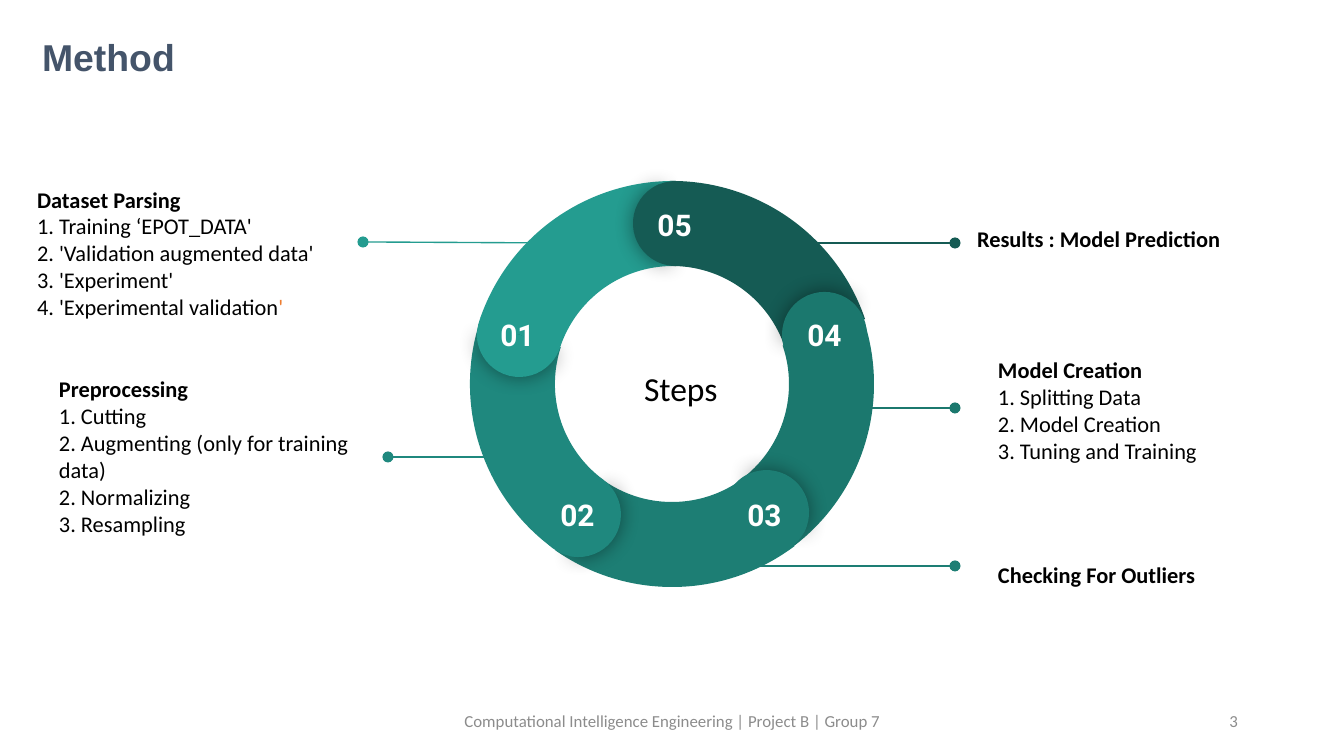
from lxml import etree
from pptx import Presentation
from pptx import util as u
from pptx.dml.color import RGBColor
from pptx.enum import shapes, text
from pptx.oxml.ns import qn

PX = 914400 / 134.4
BLACK, WHITE, GREY, SLATE, ORANGE = "000000", "FFFFFF", "8C8C8C", "44546A", "ED7D31"
STEP_COLOURS = {"01": "249C90", "02": "1F887E", "03": "1D7E74", "04": "1B786E", "05": "155B54"}

# Callouts: step, text box, line start and end, heading spacing, heading, items
CALLOUTS = [
    ("01", (24, 183, 339, 136), (558, 243, 363, 242), 1.15, "Dataset Parsing",
     ["1. Training ‘EPOT_DATA'", "2. 'Validation augmented data'", "3. 'Experiment'",
      [("4. 'Experimental validation", BLACK), ("'", ORANGE)]]),
    ("02", (46, 388, 336, 136), (526, 457, 388, 457), 1, "Preprocessing",
     ["1. Cutting", "2. Augmenting (only for training data)", "2. Normalizing",
      "3. Resampling"]),
    ("03", (985, 543, 312, 59), (684, 566, 955, 566), 1.15, "Checking For Outliers", []),
    ("05", (959, 194, 337, 85), (766, 243, 955, 243), 1.15, " Results : Model Prediction", []),
    ("04", (985, 340, 312, 136), (825, 408, 955, 408), 1.15, "Model Creation",
     ["1. Splitting Data", "2. Model Creation", "3. Tuning and Training"]),
]

# Ring parts from back to front: kind, step, left, top, rotation
RING = [
    ("arc", "02", 470, 180, 277), ("arc", "04", 466, 180, 132), ("arc", "05", 468, 181, 60),
    ("cap", "04", 782, 292, 67.1), ("arc", "03", 468, 179, 204), ("cap", "02", 536, 472, 211.1),
    ("arc", "01", 469, 181, 350), ("cap", "05", 633, 181, 357.1), ("cap", "03", 724, 470, 139.1),
    ("cap", "01", 477, 292, 284.1),
]
ARC_SIZE, CAP_SIZE = 408, 85
ARC_ADJUST = (125.5, 168.68, CAP_SIZE / ARC_SIZE)
CAP_ADJUST, BACK_ADJUST = (61.9, 149.96), (40.28, 171.84)
CAP_TURN = 179.3

NUMBERS = {"01": (480, 304), "02": (540, 484), "03": (727, 484),
           "04": (787, 304), "05": (637, 194)}


def emu(*lengths):
    return [round(length * PX) for length in lengths]


def colour(value):
    return RGBColor.from_string(value)


def write(shape, paragraphs, size=12, font="Calibri", fill=BLACK, bold=False,
          bold_first=False, align=text.PP_ALIGN.LEFT, anchor=text.MSO_ANCHOR.TOP,
          first_spacing=1, insets=(13, 13, 13, 13)):
    frame = shape.text_frame
    frame.word_wrap = True
    frame.auto_size = text.MSO_AUTO_SIZE.NONE
    frame.vertical_anchor = anchor
    (frame.margin_left, frame.margin_top,
     frame.margin_right, frame.margin_bottom) = emu(*insets)
    for index, content in enumerate(paragraphs):
        paragraph = frame.add_paragraph() if index else frame.paragraphs[0]
        paragraph.alignment = align
        paragraph.line_spacing = 1 if index else first_spacing
        runs = [(content, fill)] if isinstance(content, str) else content
        for words, run_colour in runs:
            run = paragraph.add_run()
            run.text = words
            run.font.size = u.Pt(size)
            run.font.name = font
            run.font.bold = bold or (bold_first and index == 0)
            run.font.color.rgb = colour(run_colour)


def add_text(box, paragraphs, **style):
    write(slide.shapes.add_textbox(*emu(*box)), paragraphs, **style)


def add_line(ends, line_colour):
    line = slide.shapes.add_connector(shapes.MSO_CONNECTOR.STRAIGHT, *emu(*ends))
    line.line.width = u.Pt(0.75)
    line.line.color.rgb = colour(line_colour)
    etree.SubElement(line.line._get_or_add_ln(), qn("a:tailEnd"), type="oval")
    etree.SubElement(line._element.spPr, qn("a:effectLst"))


def add_part(kind, left, top, size, rotation, adjustments, fill, glow=False):
    shape = slide.shapes.add_shape(kind, *emu(left, top, size, size))
    for index, value in enumerate(adjustments):
        shape.adjustments[index] = value
    shape.rotation = rotation % 360
    shape.fill.solid()
    shape.fill.fore_color.rgb = colour(fill)
    shape.line.fill.background()
    shape.shadow.inherit = False
    if glow:
        effects = shape._element.spPr.find(qn("a:effectLst"))
        shadow = etree.SubElement(effects, qn("a:outerShdw"), blurRad=str(u.Pt(11.2)),
                                  dist="0", dir="0", algn="ctr", rotWithShape="0")
        tint = etree.SubElement(shadow, qn("a:srgbClr"), val=BLACK)
        etree.SubElement(tint, qn("a:alpha"), val="43000")


presentation = Presentation()
presentation.slide_width, presentation.slide_height = emu(1344, 756)
slide = presentation.slides.add_slide(presentation.slide_layouts[5])

# Title
title = slide.shapes.title
title.left, title.top, title.width, title.height = emu(42, 20, 1259, 60)
write(title, ["Method"], size=20, font="Arial", fill=SLATE, bold=True,
      anchor=text.MSO_ANCHOR.BOTTOM, first_spacing=0.9, insets=(0, 0, 0, 0))

# Callouts, whose lines run under the ring
for step, box, ends, spacing, heading, items in CALLOUTS:
    add_line(ends, STEP_COLOURS[step])
    add_text(box, [heading, *items], bold_first=True, first_spacing=spacing,
             anchor=text.MSO_ANCHOR.MIDDLE)

# Ring of arcs with round caps
for kind, step, left, top, rotation in RING:
    fill = STEP_COLOURS[step]
    if kind == "arc":
        add_part(shapes.MSO_SHAPE.BLOCK_ARC, left, top, ARC_SIZE, rotation, ARC_ADJUST, fill)
    else:
        pie = shapes.MSO_SHAPE.PIE
        add_part(pie, left, top, CAP_SIZE, rotation, CAP_ADJUST, fill, glow=True)
        add_part(pie, left, top, CAP_SIZE, rotation + CAP_TURN, BACK_ADJUST, fill)

# Step numbers and centre label
for number, (left, top) in NUMBERS.items():
    add_text((left, top, 75, 39), [number], size=16, font="Roboto", fill=WHITE, bold=True,
             align=text.PP_ALIGN.CENTER)
add_text((631, 355, 103, 59), ["Steps"], size=18)

# Footer and slide number
for box, words, align in [
    ((445, 701, 454, 40), "Computational Intelligence Engineering | Project B | Group 7",
     text.PP_ALIGN.CENTER),
    ((949, 701, 302, 40), "3", text.PP_ALIGN.RIGHT),
]:
    add_text(box, [words], size=9, fill=GREY, align=align,
             anchor=text.MSO_ANCHOR.MIDDLE, insets=(13, 7, 13, 7))

presentation.save("out.pptx")
